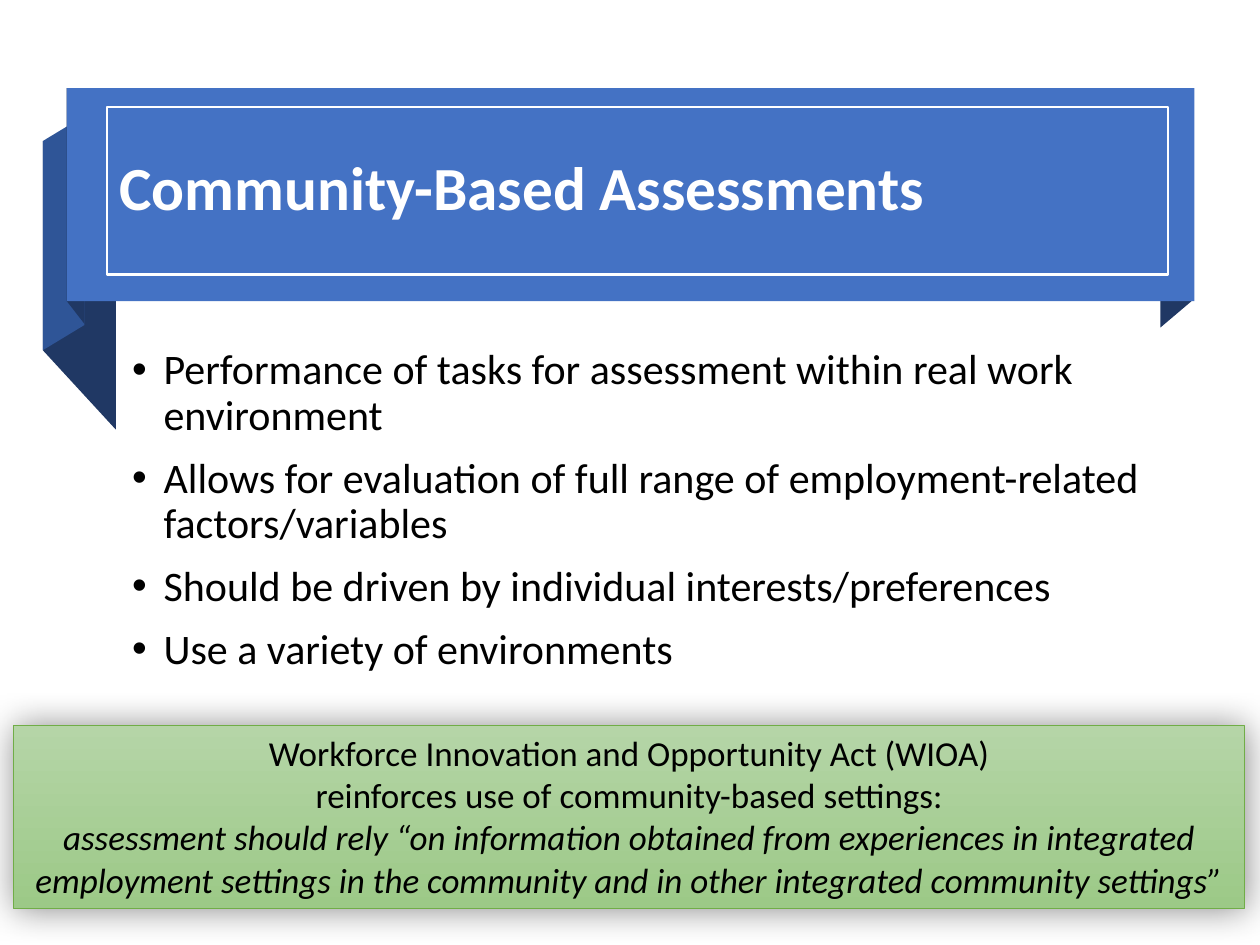
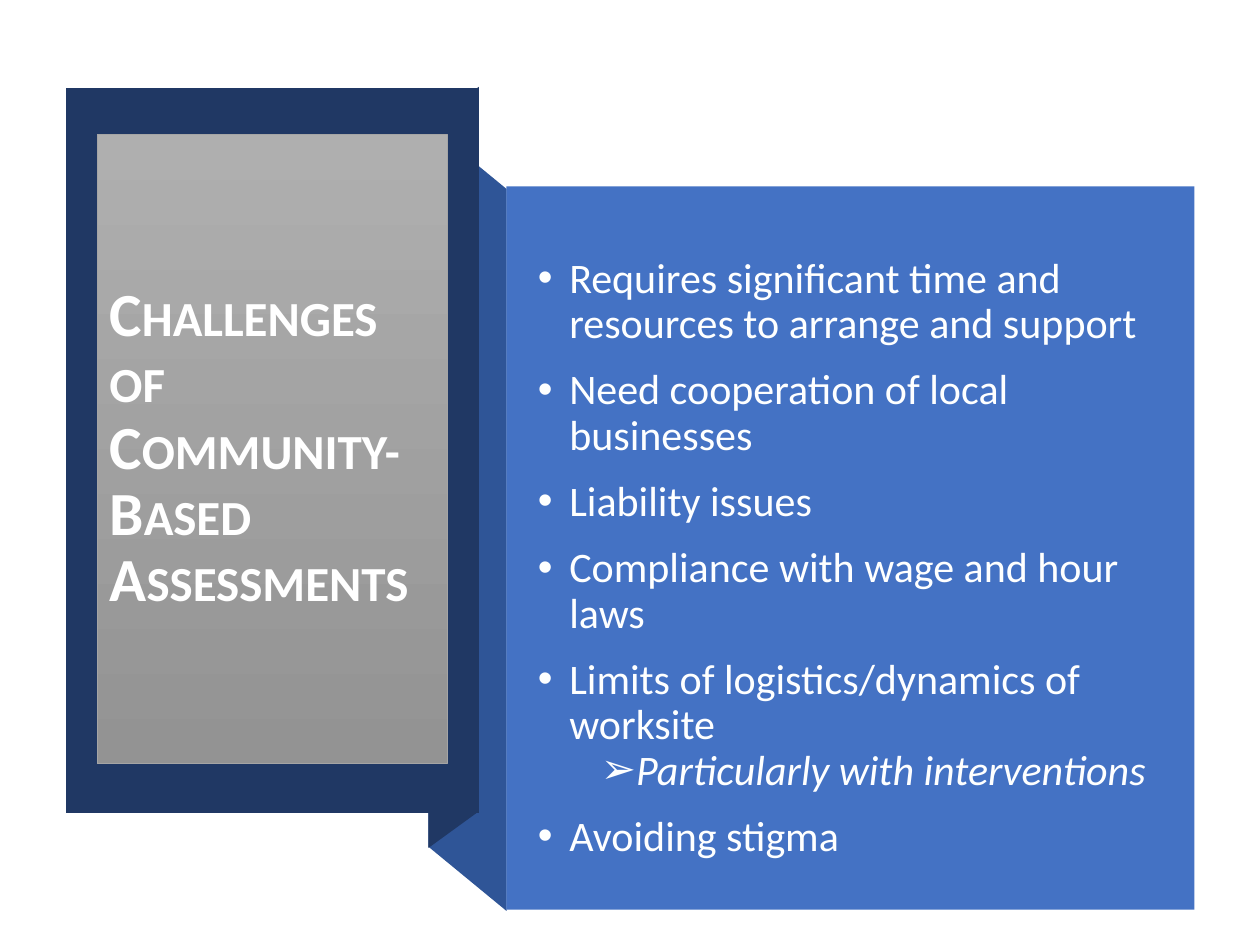
import lxml.etree
import pptx
import pptx.dml.color
import pptx.enum.shapes
import pptx.enum.text
import pptx.oxml.ns
import pptx.util

COLORS = {
    "blue": "4472C4",
    "mid": "2F5597",
    "navy": "203864",
    "white": "FFFFFF",
    "black": "000000",
    "soft_white": "FEFFFF",
    "green_line": "70AD47",
    "green_top": "B5D5A7",
    "green_bottom": "9CC987",
    "gray_line": "A5A5A5",
    "gray_top": "AFAFAF",
    "gray_bottom": "939393",
}
RGB = {name: pptx.dml.color.RGBColor.from_string(value) for name, value in COLORS.items()}
FONT = "Calibri"
BULLETS = {0: ("•", 0.25), 1: ("➢", 0.75)}
qn = pptx.oxml.ns.qn

deck = pptx.Presentation()
deck.slide_width = pptx.util.Inches(10)
deck.slide_height = pptx.util.Inches(7.5)
column = deck.slide_width / 100
row = deck.slide_height / 75


def add_panel(page, grid, fill=None, line=None, width=0.5):
    left, top, wide, high = grid
    place = (round(left * column), round(top * row), round(wide * column), round(high * row))
    if fill is None:
        box = page.shapes.add_textbox(*place)
    else:
        box = page.shapes.add_shape(pptx.enum.shapes.MSO_SHAPE.RECTANGLE, *place)
        box.shadow.inherit = False
        if isinstance(fill, tuple):
            box.fill.gradient()
            box.fill.gradient_angle = 270
            for stop, name in zip(box.fill.gradient_stops, fill):
                stop.color.rgb = RGB[name]
        else:
            box.fill.solid()
            box.fill.fore_color.rgb = RGB[fill]
        if line:
            box.line.color.rgb = RGB[line]
            box.line.width = pptx.util.Pt(width)
        else:
            box.line.fill.background()
    box.text_frame.word_wrap = True
    box.text_frame.vertical_anchor = pptx.enum.text.MSO_ANCHOR.MIDDLE
    return box


def add_span(para, text, size, color, bold=False, italic=False):
    span = para.add_run()
    span.text = text
    span.font.name = FONT
    span.font.size = pptx.util.Pt(size)
    span.font.bold = bold
    span.font.italic = italic
    span.font.color.rgb = RGB[color]
    return span


slides = [
    {
        "folds": [
            ("navy", [(9.2, 34.1), (3.4, 27.8), (3.4, 11.2), (9.2, 17.5)]),
            ("mid", [(6.7, 25.8), (3.4, 27.8), (3.4, 11.2), (6.7, 9.2)]),
            ("navy", [(6.7, 25.7), (5.3, 23.9), (5.3, 7), (6.7, 8.9)]),
            ("navy", [(94.7, 23.8), (92.1, 26), (92.1, 9.1), (94.7, 7)]),
        ],
        "banner": (5.3, 7, 89.5, 16.9),
        "title": "Community-Based Assessments",
        "title_box": ((8.5, 8.5, 84.2, 13.3), "blue", "white", 1.5),
        "small_caps": False,
        "body_box": (9.5, 24.5, 83.9, 32.1),
        "body_color": "black",
        "gap": 10,
        "body": [
            (0, "Performance of tasks for assessment within real work environment"),
            (0, "Allows for evaluation of full range of employment-related factors/variables"),
            (0, "Should be driven by individual interests/preferences"),
            (0, "Use a variety of environments"),
        ],
    },
    {
        "folds": [
            ("mid", [(40.2, 72.3), (34, 67.2), (34, 9.9), (40.2, 15)]),
            ("navy", [(38, 64.4), (34, 67.3), (34, 9.8), (38, 6.9)]),
            ("navy", [(5.2, 7), (38, 7), (38, 64.5), (5.2, 64.5)]),
        ],
        "banner": (40.2, 14.8, 54.6, 57.4),
        "title": "Challenges of Community-Based Assessments",
        "title_box": ((7.7, 10.7, 27.8, 49.9), ("gray_top", "gray_bottom"), "gray_line", 0.5),
        "small_caps": True,
        "body_box": (41.7, 19.8, 51.5, 49.1),
        "body_color": "soft_white",
        "gap": 12,
        "body": [
            (0, "Requires significant time and resources to arrange and support"),
            (0, "Need cooperation of local businesses"),
            (0, "Liability issues"),
            (0, "Compliance with wage and hour laws"),
            (0, "Limits of logistics/dynamics of worksite"),
            (1, "Particularly with interventions"),
            (0, "Avoiding stigma"),
        ],
    },
]

for content in slides:
    page = deck.slides.add_slide(deck.slide_layouts[6])
    page.background.fill.solid()
    page.background.fill.fore_color.rgb = RGB["white"]

    for color, corners in content["folds"]:
        points = [(round(x * column), round(y * row)) for x, y in corners]
        builder = page.shapes.build_freeform(*points[0])
        builder.add_line_segments(points[1:], close=True)
        fold = builder.convert_to_shape()
        fold.shadow.inherit = False
        fold.fill.solid()
        fold.fill.fore_color.rgb = RGB[color]
        fold.line.fill.background()

    add_panel(page, content["banner"], "blue")

    title = add_panel(page, *content["title_box"])
    para = title.text_frame.paragraphs[0]
    para.alignment = pptx.enum.text.PP_ALIGN.LEFT
    para.line_spacing = 0.9
    span = add_span(para, content["title"], 35, "white", bold=True)
    if content["small_caps"]:
        span.font._element.set("cap", "small")

    body = add_panel(page, content["body_box"])
    for index, (level, text) in enumerate(content["body"]):
        frame = body.text_frame
        para = frame.add_paragraph() if index else frame.paragraphs[0]
        para.level = level
        para.line_spacing = 0.9
        para.space_before = pptx.util.Pt(content["gap"] if index and level == 0 else 0)
        mark, indent = BULLETS[level]
        properties = para._p.get_or_add_pPr()
        properties.set("marL", str(pptx.util.Inches(indent)))
        properties.set("indent", str(pptx.util.Inches(-0.25)))
        lxml.etree.SubElement(properties, qn("a:buFont")).set("typeface", "Arial")
        lxml.etree.SubElement(properties, qn("a:buChar")).set("char", mark)
        add_span(para, text, 24, content["body_color"], italic=level == 1)

page = deck.slides[0]
callout = add_panel(page, (1.1, 57.6, 97.7, 14.5), ("green_top", "green_bottom"), "green_line")
callout.text_frame.vertical_anchor = pptx.enum.text.MSO_ANCHOR.TOP
callout.text_frame.auto_size = pptx.enum.text.MSO_AUTO_SIZE.SHAPE_TO_FIT_TEXT
para = callout.text_frame.paragraphs[0]
para.alignment = pptx.enum.text.PP_ALIGN.CENTER
for text in ("Workforce Innovation and Opportunity Act (WIOA)",
             "reinforces use of community-based settings:"):
    add_span(para, text, 20, "black")
    para.add_line_break()
add_span(para, "assessment should rely “on information obtained from experiences in integrated "
         "employment settings in the community and in other integrated community settings”",
         20, "black", italic=True)

effects = callout._element.spPr.find(qn("a:effectLst"))
glow = lxml.etree.SubElement(effects, qn("a:outerShdw"))
glow.set("blurRad", str(pptx.util.Inches(0.28)))
glow.set("dist", "0")
glow.set("rotWithShape", "0")
shade = lxml.etree.SubElement(glow, qn("a:srgbClr"))
shade.set("val", COLORS["black"])
lxml.etree.SubElement(shade, qn("a:alpha")).set("val", "45000")

deck.save("out.pptx")
